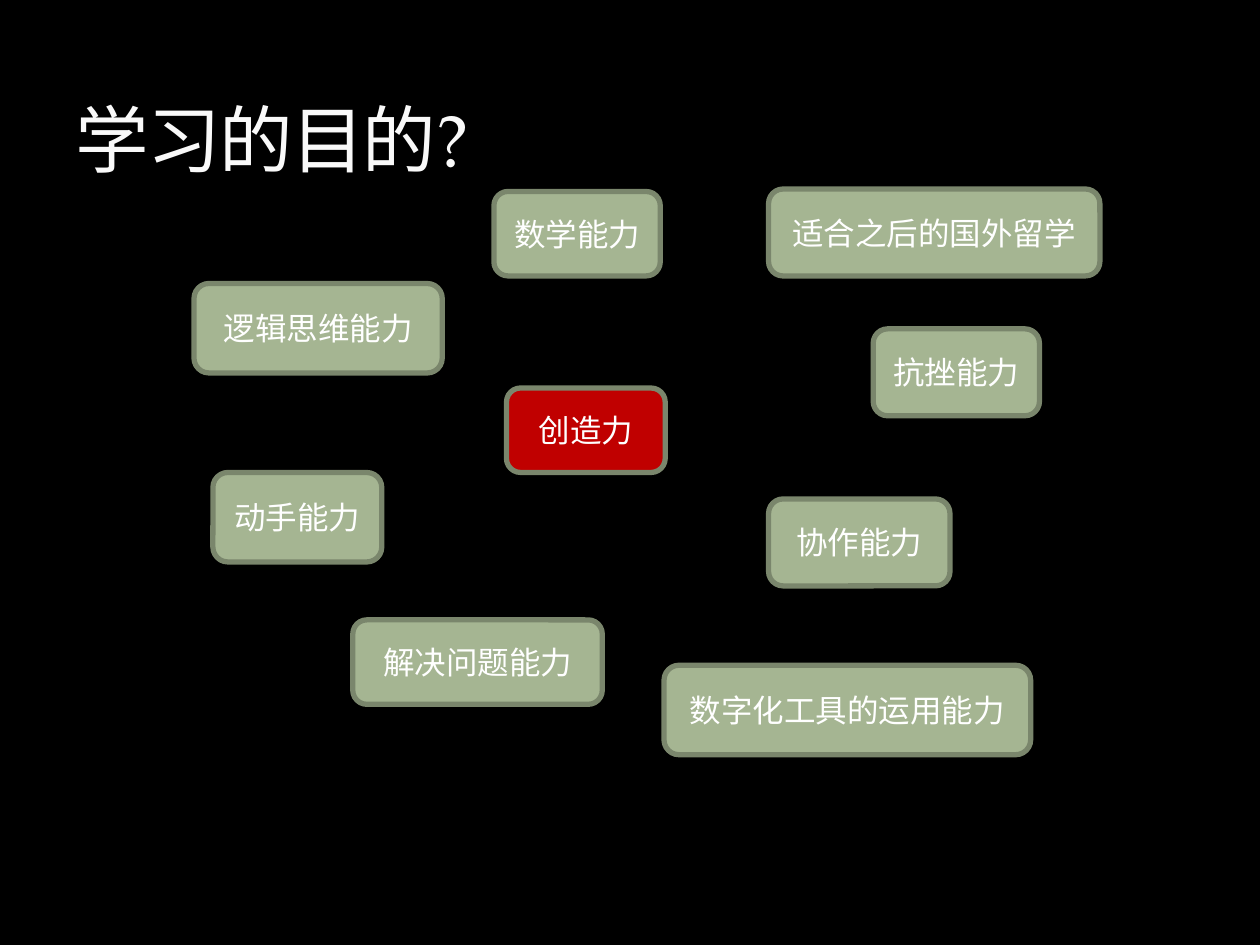
"""Build a slide that scatters learning goals around creativity."""
from lxml import etree
from pptx import Presentation
from pptx.dml.color import RGBColor as RGB
from pptx.enum.shapes import MSO_SHAPE as SHAPE
from pptx.enum.text import MSO_ANCHOR as ANCHOR, PP_ALIGN as ALIGN
from pptx.oxml import parse_xml
from pptx.oxml.ns import nsdecls
from pptx.util import Inches, Pt

BLACK = RGB(0x00, 0x00, 0x00)
WHITE = RGB(0xFF, 0xFF, 0xFF)
PALE = RGB(0xF9, 0xF9, 0xF9)
GREEN = RGB(0xA5, 0xB5, 0x92)
EDGE = RGB(0x7A, 0x86, 0x6C)
RED = RGB(0xC0, 0x00, 0x00)
FONT = "TeX Gyre Pagella"


def style(frame, size, color, align):
    para = frame.paragraphs[0]
    para.alignment = align
    font = para.runs[0].font
    font.name = FONT
    font.size = Pt(size)
    font.color.rgb = color
    return para.runs[0]


deck = Presentation()
deck.slide_width, deck.slide_height = Inches(10), Inches(7.5)
slide = deck.slides.add_slide(deck.slide_layouts[5])
back = slide.background.fill
back.solid()
back.fore_color.rgb = BLACK

title = slide.shapes.title
title.left, title.top = Inches(0.5), Inches(0.17)
title.width, title.height = Inches(9), Inches(1.33)
title.text_frame.text = "学习的目的?"
title.text_frame.vertical_anchor = ANCHOR.BOTTOM
run = style(title.text_frame, 42, PALE, ALIGN.LEFT)
props = run.font._element
props.set("spc", "-100")
line = parse_xml(f'<a:ln {nsdecls("a")} w="3175"><a:solidFill/></a:ln>')
tint = etree.SubElement(line[0], line[0].tag.replace("solidFill", "srgbClr"), val="3C4422")
etree.SubElement(tint, line[0].tag.replace("solidFill", "alpha"), val="25000")
props.insert(0, line)

goals = [
    ("逻辑思维能力", 1.54, 2.25, 1.97, 0.71, GREEN),
    ("创造力", 4.02, 3.08, 1.26, 0.67, RED),
    ("数学能力", 3.92, 1.52, 1.32, 0.67, GREEN),
    ("数字化工具的运用能力", 5.27, 5.28, 2.91, 0.71, GREEN),
    ("动手能力", 1.69, 3.75, 1.34, 0.71, GREEN),
    ("抗挫能力", 6.93, 2.61, 1.32, 0.69, GREEN),
    ("解决问题能力", 2.8, 4.92, 1.98, 0.67, GREEN),
    ("协作能力", 6.1, 3.96, 1.44, 0.69, GREEN),
    ("适合之后的国外留学", 6.1, 1.5, 2.63, 0.69, GREEN),
]
for text, left, top, width, height, color in goals:
    box = slide.shapes.add_shape(
        SHAPE.ROUNDED_RECTANGLE, Inches(left), Inches(top), Inches(width), Inches(height)
    )
    box.shadow.inherit = False
    box.fill.solid()
    box.fill.fore_color.rgb = color
    box.line.color.rgb = EDGE
    box.line.width = Pt(3)
    box.text_frame.text = text
    box.text_frame.vertical_anchor = ANCHOR.MIDDLE
    style(box.text_frame, 18, WHITE, ALIGN.CENTER)

deck.save("out.pptx")
